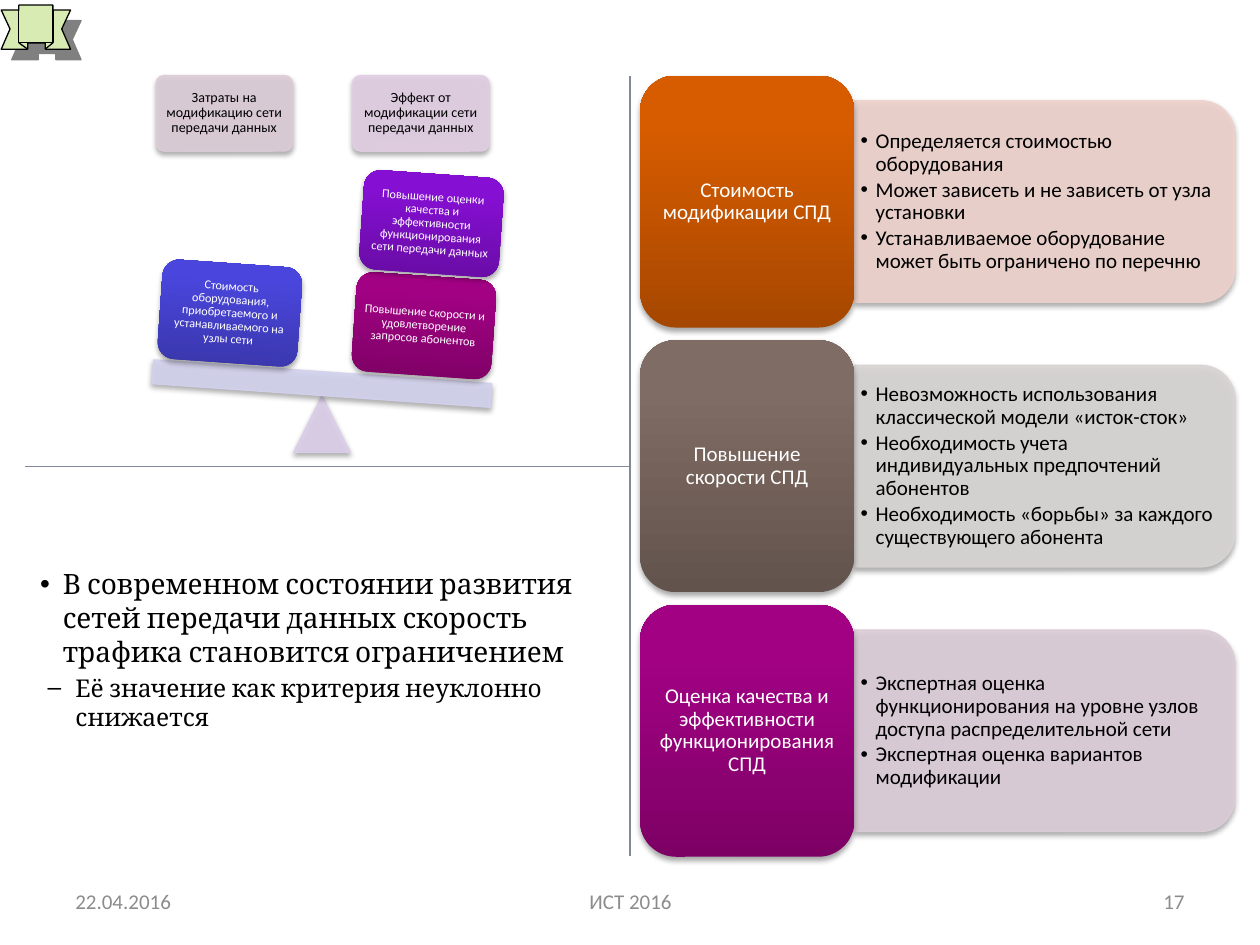
"""Build the slide weighing the costs and effects of a data network upgrade."""
import pptx
import pptx.dml.color
import pptx.enum.shapes
import pptx.enum.text
import pptx.oxml.ns
import pptx.util
from lxml import etree
from pptx.dml.color import RGBColor
from pptx.enum.shapes import MSO_CONNECTOR, MSO_SHAPE
from pptx.enum.text import MSO_ANCHOR, PP_ALIGN
from pptx.oxml.ns import qn
from pptx.util import Inches, Pt

BLACK = RGBColor(0x00, 0x00, 0x00)
WHITE = RGBColor(0xFF, 0xFF, 0xFF)
FOOTER_GREY = RGBColor(0x8C, 0x8C, 0x8C)
DIVIDER_GREY = RGBColor(0x80, 0x8A, 0x98)
RIBBON_GREEN = RGBColor(0xD8, 0xEB, 0xB3)
RIBBON_SHADOW = RGBColor(0x80, 0x80, 0x80)
PALE_MAUVE = RGBColor(0xDC, 0xCC, 0xD7)
PALE_PINK = RGBColor(0xE1, 0xCE, 0xE3)
PALE_VIOLET = RGBColor(0xDB, 0xCF, 0xE9)
PALE_BLUE = RGBColor(0xD3, 0xD2, 0xEE)
PALE_ORANGE = RGBColor(0xEE, 0xD2, 0xCC)
PALE_GREY = RGBColor(0xD8, 0xD5, 0xD4)
MAGENTA = (RGBColor(0x7D, 0x01, 0x65), RGBColor(0xA2, 0x01, 0x84))
PURPLE = (RGBColor(0x67, 0x0C, 0xA3), RGBColor(0x86, 0x0F, 0xD4))
BLUE = (RGBColor(0x39, 0x36, 0xAA), RGBColor(0x4A, 0x46, 0xDD))
ORANGE = (RGBColor(0xA6, 0x47, 0x00), RGBColor(0xD7, 0x5C, 0x00))
BROWN = (RGBColor(0x62, 0x53, 0x4D), RGBColor(0x7F, 0x6C, 0x64))

TILT = 4
CRITERIA = [
    ("Стоимость модификации СПД", ORANGE, PALE_ORANGE, [
        "Определяется стоимостью оборудования",
        "Может зависеть и не зависеть от узла установки",
        "Устанавливаемое оборудование может быть ограничено по перечню"]),
    ("Повышение скорости СПД", BROWN, PALE_GREY, [
        "Невозможность использования классической модели «исток-сток»",
        "Необходимость учета индивидуальных предпочтений абонентов",
        "Необходимость «борьбы» за каждого существующего абонента"]),
    ("Оценка качества и эффективности функционирования СПД", MAGENTA, PALE_MAUVE, [
        "Экспертная оценка функционирования на уровне узлов доступа распределительной сети",
        "Экспертная оценка вариантов модификации"]),
]
PANS = [
    ("Затраты на модификацию сети передачи данных", 1.24, PALE_MAUVE),
    ("Эффект от модификации сети передачи данных", 2.8, PALE_PINK),
]
WEIGHTS = [
    ("Повышение скорости и удовлетворение запросов абонентов", 2.81, 2.19, MAGENTA),
    ("Повышение оценки качества и эффективности функционирования сети передачи данных",
     2.87, 1.38, PURPLE),
    ("Стоимость оборудования, приобретаемого и устанавливаемого на узлы сети",
     1.27, 2.09, BLUE),
]
FOOTERS = [
    ("22.04.2016", 0.5, 2.33, PP_ALIGN.LEFT),
    ("ИСТ 2016", 3.42, 3.17, PP_ALIGN.CENTER),
    ("17", 7.17, 2.33, PP_ALIGN.RIGHT),
]
RIBBON_UNIT = Inches(0.01)
RIBBON_OUTLINE = [
    (1, 39), (22, 39), (22, 34), (36, 34), (36, 39), (56, 39), (49, 23),
    (56, 8), (42, 8), (42, 4), (15, 4), (15, 8), (1, 8), (8, 23)]
RIBBON_FOLDS = [
    [(22, 34), (15, 34), (15, 8)],
    [(15, 34), (22, 39)],
    [(36, 34), (42, 34), (42, 8)],
    [(42, 34), (36, 39)]]


def add_shadow(shape, color=BLACK, alpha=35, blur=3.1, distance=1.8, angle=90):
    """Give the shape an outer shadow; lengths are in points."""
    shape.shadow.inherit = False
    effects = shape._element.spPr.find(qn("a:effectLst"))
    outer = etree.SubElement(effects, qn("a:outerShdw"), blurRad=str(Pt(blur)),
                             dist=str(Pt(distance)), dir=str(angle * 60000),
                             rotWithShape="0")
    tone = etree.SubElement(outer, qn("a:srgbClr"), val=str(color))
    etree.SubElement(tone, qn("a:alpha"), val=str(alpha * 1000))


def add_block(slide, kind, left, top, width, height, rotation=0):
    """Add a preset shape placed in inches."""
    block = slide.shapes.add_shape(kind, Inches(left), Inches(top), Inches(width), Inches(height))
    block.rotation = rotation
    return block


def paint_pale(block, color):
    """Fill and outline a block in one slightly transparent tint."""
    block.fill.solid()
    block.fill.fore_color.rgb = color
    block.line.color.rgb = color
    block.line.width = Pt(0.75)
    for tone in block._element.spPr.iter(qn("a:srgbClr")):
        etree.SubElement(tone, qn("a:alpha"), val="90000")
    add_shadow(block)


def paint_glossy(block, shades):
    """Fill a block with a gradient that is dark at the bottom."""
    block.fill.gradient()
    block.fill.gradient_angle = 90
    for stop, color, position in zip(block.fill.gradient_stops, shades, (0, 0.8)):
        stop.color.rgb = color
        stop.position = position
    block.line.fill.background()
    add_shadow(block)


def set_frame(shape, side=0.1, edge=0.05, anchor=MSO_ANCHOR.MIDDLE):
    """Set wrapping, insets and anchor, and return the text frame."""
    frame = shape.text_frame
    frame.word_wrap = True
    frame.margin_left = frame.margin_right = Inches(side)
    frame.margin_top = frame.margin_bottom = Inches(edge)
    frame.vertical_anchor = anchor
    return frame


def style(paragraph, size, color, name="Calibri"):
    """Set the font of a paragraph."""
    paragraph.font.size = Pt(size)
    paragraph.font.name = name
    paragraph.font.color.rgb = color


def label(block, text, size, color, side=0.03):
    """Write centred text in a block."""
    paragraph = set_frame(block, side, 0.03).paragraphs[0]
    paragraph.text = text
    paragraph.alignment = PP_ALIGN.CENTER
    paragraph.line_spacing = 0.9
    style(paragraph, size, color)


def add_bullet(frame, position, text, mark, indent, hanging):
    """Add a bulleted paragraph to the frame and return it."""
    paragraph = frame.add_paragraph() if position else frame.paragraphs[0]
    paragraph.text = text
    properties = paragraph._p.get_or_add_pPr()
    properties.set("marL", str(Inches(indent)))
    properties.set("indent", str(-Inches(hanging)))
    etree.SubElement(properties, qn("a:buFont"), typeface="Arial")
    etree.SubElement(properties, qn("a:buChar"), char=mark)
    return paragraph


def add_text_box(slide, left, top, width, height):
    """Add a text box placed in inches."""
    return slide.shapes.add_textbox(Inches(left), Inches(top), Inches(width), Inches(height))


def add_ribbon(slide):
    """Draw the corner ribbon and its fold lines."""
    outline = slide.shapes.build_freeform(*RIBBON_OUTLINE[0], scale=RIBBON_UNIT)
    outline.add_line_segments(RIBBON_OUTLINE[1:])
    (first, *bends), *others = RIBBON_FOLDS
    folds = slide.shapes.build_freeform(*first, scale=RIBBON_UNIT)
    folds.add_line_segments(bends, close=False)
    for start, *rest in others:
        folds.move_to(*start)
        folds.add_line_segments(rest, close=False)
    ribbon, creases = outline.convert_to_shape(), folds.convert_to_shape()
    for part in (ribbon, creases):
        part.line.color.rgb = BLACK
        part.line.width = Pt(0.75)
    ribbon.fill.solid()
    ribbon.fill.fore_color.rgb = RIBBON_GREEN
    add_shadow(ribbon, RIBBON_SHADOW, 100, 0, 8.5, 45)
    creases.fill.background()
    creases.shadow.inherit = False


def add_divider(slide, *ends):
    """Draw a thin straight divider."""
    divider = slide.shapes.add_connector(MSO_CONNECTOR.STRAIGHT, *map(Inches, ends))
    divider.line.color.rgb = DIVIDER_GREY
    divider.line.width = Pt(0.75)
    etree.SubElement(divider._element.spPr, qn("a:effectLst"))


def add_balance(slide):
    """Draw the scales with their pans, beam and weights."""
    for text, left, color in PANS:
        pan = add_block(slide, MSO_SHAPE.ROUNDED_RECTANGLE, left, 0.6, 1.08, 0.6)
        pan.adjustments[0] = 0.1
        paint_pale(pan, color)
        label(pan, text, 8, BLACK)
    paint_pale(add_block(slide, MSO_SHAPE.ISOSCELES_TRIANGLE, 2.33, 3.14, 0.45, 0.45), PALE_VIOLET)
    paint_pale(add_block(slide, MSO_SHAPE.RECTANGLE, 1.21, 2.95, 2.69, 0.19, TILT), PALE_BLUE)
    for text, left, top, shades in WEIGHTS:
        weight = add_block(slide, MSO_SHAPE.ROUNDED_RECTANGLE, left, top, 1.11, 0.79, TILT)
        paint_glossy(weight, shades)
        label(weight, text, 7, WHITE)


def add_criterion(slide, top, name, shades, tint, details):
    """Draw one criterion with its panel of details."""
    panel = add_block(slide, MSO_SHAPE.ROUND_2_SAME_RECTANGLE, 7.49, top - 0.51, 1.6, 3.02, 90)
    paint_pale(panel, tint)
    frame = set_frame(add_text_box(slide, 6.78, top + 0.28, 2.94, 1.44), 0.05, 0.03)
    for position, detail in enumerate(details):
        paragraph = add_bullet(frame, position, detail, "•", 0.12, 0.12)
        paragraph.line_spacing = 0.9
        paragraph.space_after = Pt(1.8)
        style(paragraph, 12, BLACK)
    criterion = add_block(slide, MSO_SHAPE.ROUNDED_RECTANGLE, 5.08, top, 1.7, 2)
    paint_glossy(criterion, shades)
    label(criterion, name, 12, WHITE, 0.05)


def add_conclusion(slide):
    """Write the conclusion with its sub-point."""
    frame = set_frame(add_text_box(slide, 0.2, 4.45, 4.72, 2.35), anchor=MSO_ANCHOR.TOP)
    thesis = add_bullet(frame, 0, "В современном состоянии развития сетей передачи данных "
                        "скорость трафика становится ограничением", "•", 0.2, 0.18)
    style(thesis, 16, BLACK, "Cambria")
    remark = add_bullet(frame, 1, "Её значение как критерия неуклонно снижается", "–", 0.3, 0.22)
    remark.level = 1
    remark.space_before = Pt(2.8)
    style(remark, 14, BLACK, "Cambria")


def add_footer(slide, text, left, width, alignment):
    """Write one part of the footer."""
    paragraph = set_frame(add_text_box(slide, left, 6.95, width, 0.4)).paragraphs[0]
    paragraph.text = text
    paragraph.alignment = alignment
    style(paragraph, 12, FOOTER_GREY)


def main():
    """Build and save the slide."""
    deck = pptx.Presentation()
    deck.slide_width, deck.slide_height = Inches(10), Inches(7.5)
    slide = deck.slides.add_slide(deck.slide_layouts[6])
    add_ribbon(slide)
    add_divider(slide, 5, 0.6, 5, 6.79)
    add_divider(slide, 0.2, 3.7, 5, 3.7)
    add_balance(slide)
    for row, criterion in enumerate(CRITERIA):
        add_criterion(slide, 0.6 + 2.1 * row, *criterion)
    for footer in FOOTERS:
        add_footer(slide, *footer)
    add_conclusion(slide)
    deck.save("out.pptx")


if __name__ == "__main__":
    main()
